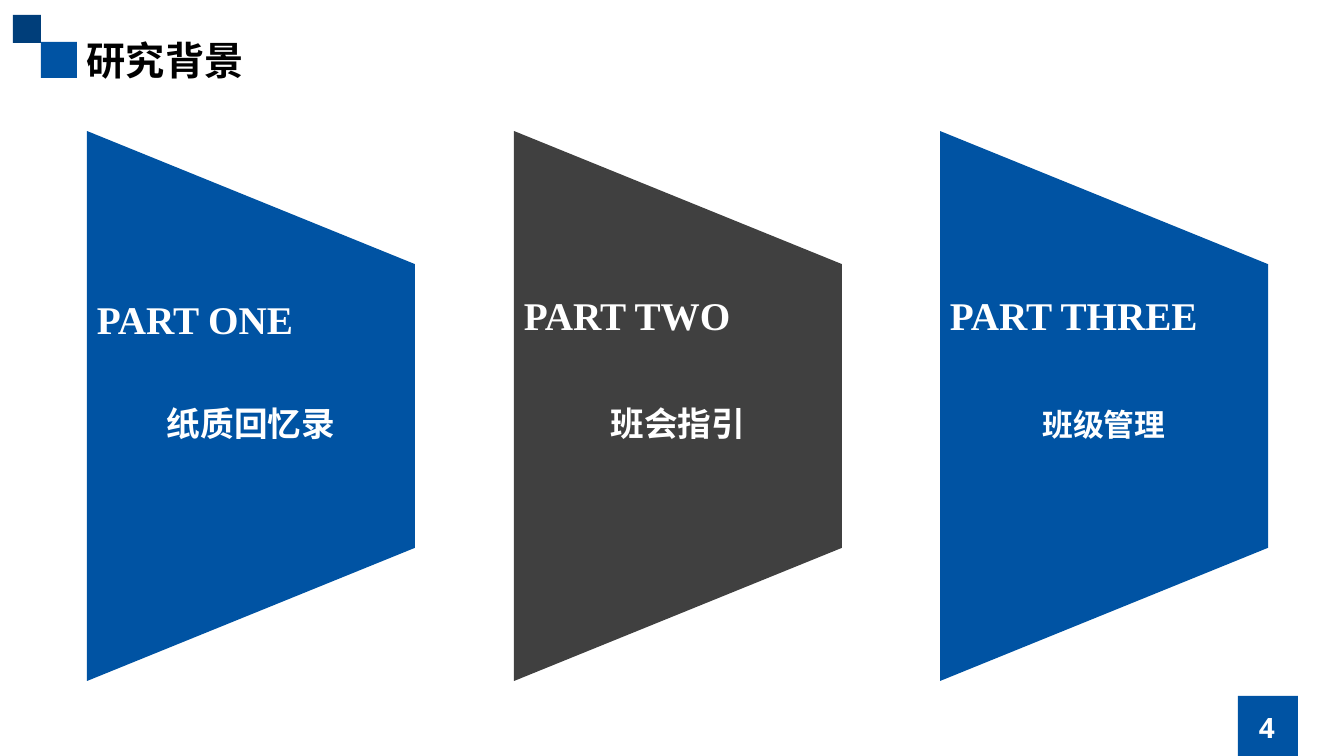
"""Build the research background slide with three trapezoid panels."""
from typing import NamedTuple

from lxml.etree import SubElement
from pptx import Presentation
from pptx.dml.color import RGBColor
from pptx.enum.shapes import MSO_SHAPE
from pptx.enum.text import MSO_ANCHOR, PP_ALIGN
from pptx.oxml.ns import qn
from pptx.shapes.autoshape import Shape
from pptx.slide import Slide
from pptx.util import Pt

EMU_PER_PIXEL = 914400 / 100.8
BLUE, NAVY, GREY, WHITE, BLACK = "0053A3", "003E7A", "404040", "FFFFFF", "000000"
HAN_FONT, SANS_FONT, SERIF_FONT = "Noto Sans CJK SC", "Open Sans", "Times New Roman"
PANEL_TOP, PANEL_WIDTH, PANEL_HEIGHT = 131, 328, 550


class Area(NamedTuple):
    left: int
    top: int
    width: int
    height: int


class Square(NamedTuple):
    area: Area
    color: str


class Label(NamedTuple):
    text: str
    area: Area
    size: int
    font: str
    color: str = WHITE
    align: PP_ALIGN = PP_ALIGN.LEFT
    anchor: MSO_ANCHOR = MSO_ANCHOR.TOP
    spacing: float = 1.0
    wrap: bool = True


class Panel(NamedTuple):
    left: int
    color: str
    heading: str
    heading_area: Area
    topic: str
    topic_top: int
    topic_size: int


SQUARES = [
    Square(Area(41, 42, 36, 36), BLUE),
    Square(Area(13, 15, 28, 28), NAVY),
    Square(Area(1238, 696, 60, 60), BLUE),
]
LABELS = [
    Label("研究背景", Area(77, 31, 596, 58), 28, HAN_FONT, BLACK),
    Label("4", Area(1190, 707, 154, 40), 20, SANS_FONT,
          align=PP_ALIGN.CENTER, anchor=MSO_ANCHOR.MIDDLE),
]
PANELS = [
    Panel(87, BLUE, "PART ONE", Area(87, 267, 219, 73), "纸质回忆录", 378, 24),
    Panel(514, GREY, "PART TWO", Area(514, 263, 229, 82), "班会指引", 378, 24),
    Panel(940, BLUE, "PART THREE", Area(940, 263, 270, 82), "班级管理", 382, 22),
]


def pixels(length: float) -> int:
    """Turn pixels into EMU."""
    return round(length * EMU_PER_PIXEL)


def rgb(color: str) -> RGBColor:
    """Turn a hex string into a colour."""
    return RGBColor.from_string(color)


def add_filled(page: Slide, kind: MSO_SHAPE, area: Area, color: str) -> Shape:
    """Add a flat shape without outline."""
    shape = page.shapes.add_shape(kind, *map(pixels, area))
    shape.shadow.inherit = False
    shape.fill.solid()
    shape.fill.fore_color.rgb = rgb(color)
    shape.line.fill.background()
    return shape


def add_label(page: Slide, label: Label) -> None:
    """Add a text box holding one bold run."""
    box = page.shapes.add_textbox(*map(pixels, label.area))
    frame = box.text_frame
    frame.word_wrap = label.wrap
    frame.vertical_anchor = label.anchor
    para = frame.paragraphs[0]
    para.alignment = label.align
    para.line_spacing = label.spacing
    span = para.add_run()
    span.text = label.text
    span.font.size = Pt(label.size)
    span.font.bold = True
    span.font.name = label.font
    span.font.color.rgb = rgb(label.color)
    SubElement(span.font._element, qn("a:ea"), typeface=label.font)


def add_panel(page: Slide, panel: Panel) -> None:
    """Add a trapezoid turned to the right with its heading and topic."""
    inset = (PANEL_HEIGHT - PANEL_WIDTH) // 2
    turned = Area(panel.left - inset, PANEL_TOP + inset, PANEL_HEIGHT, PANEL_WIDTH)
    shape = add_filled(page, MSO_SHAPE.TRAPEZOID, turned, panel.color)
    shape.rotation = 90
    shape.adjustments[0] = 0.406
    add_label(page, Label(panel.heading, panel.heading_area, 28, SERIF_FONT,
                          spacing=1.5, wrap=False))
    topic_area = Area(panel.left, panel.topic_top, PANEL_WIDTH, 63)
    add_label(page, Label(panel.topic, topic_area, panel.topic_size, SANS_FONT,
                          align=PP_ALIGN.CENTER, spacing=1.5))


def main() -> None:
    """Build and save the deck."""
    deck = Presentation()
    deck.slide_width, deck.slide_height = pixels(1344), pixels(756)
    page = deck.slides.add_slide(deck.slide_layouts[6])
    for square in SQUARES:
        add_filled(page, MSO_SHAPE.RECTANGLE, square.area, square.color)
    for label in LABELS:
        add_label(page, label)
    for panel in PANELS:
        add_panel(page, panel)
    deck.save("out.pptx")


main()
